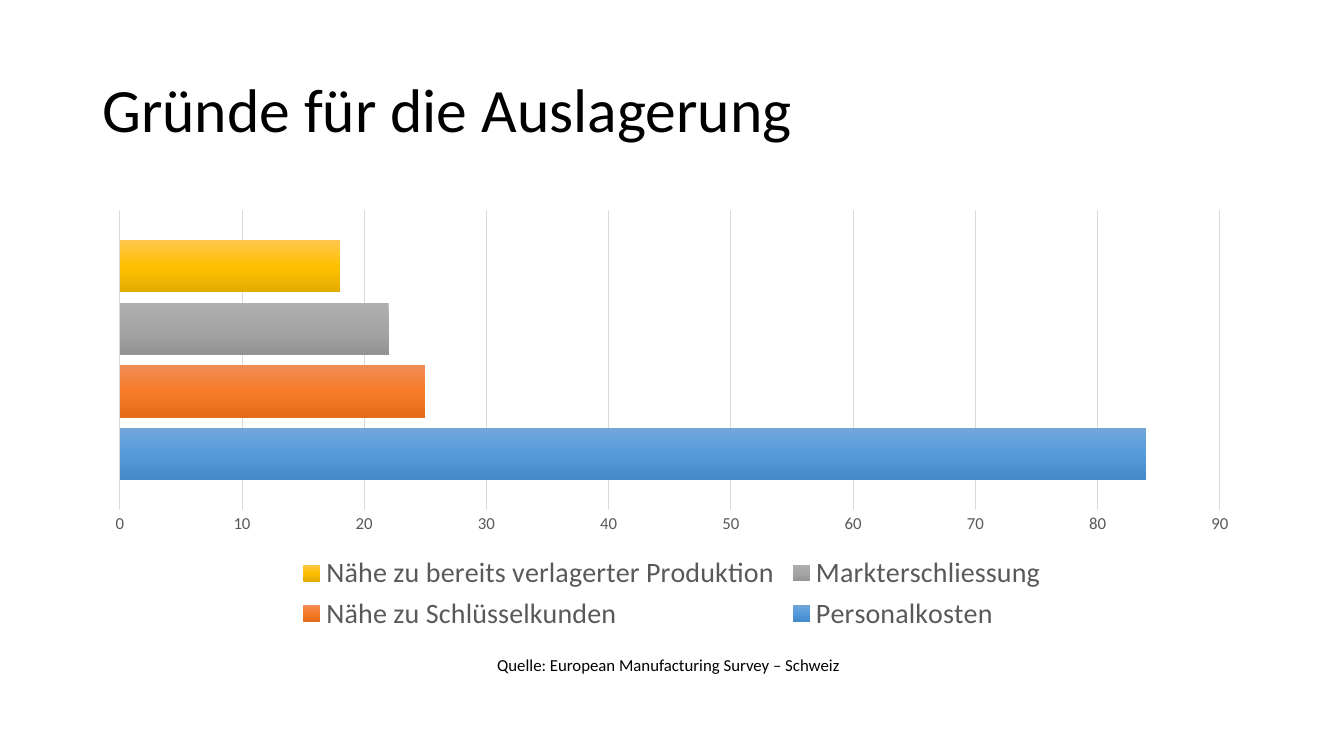
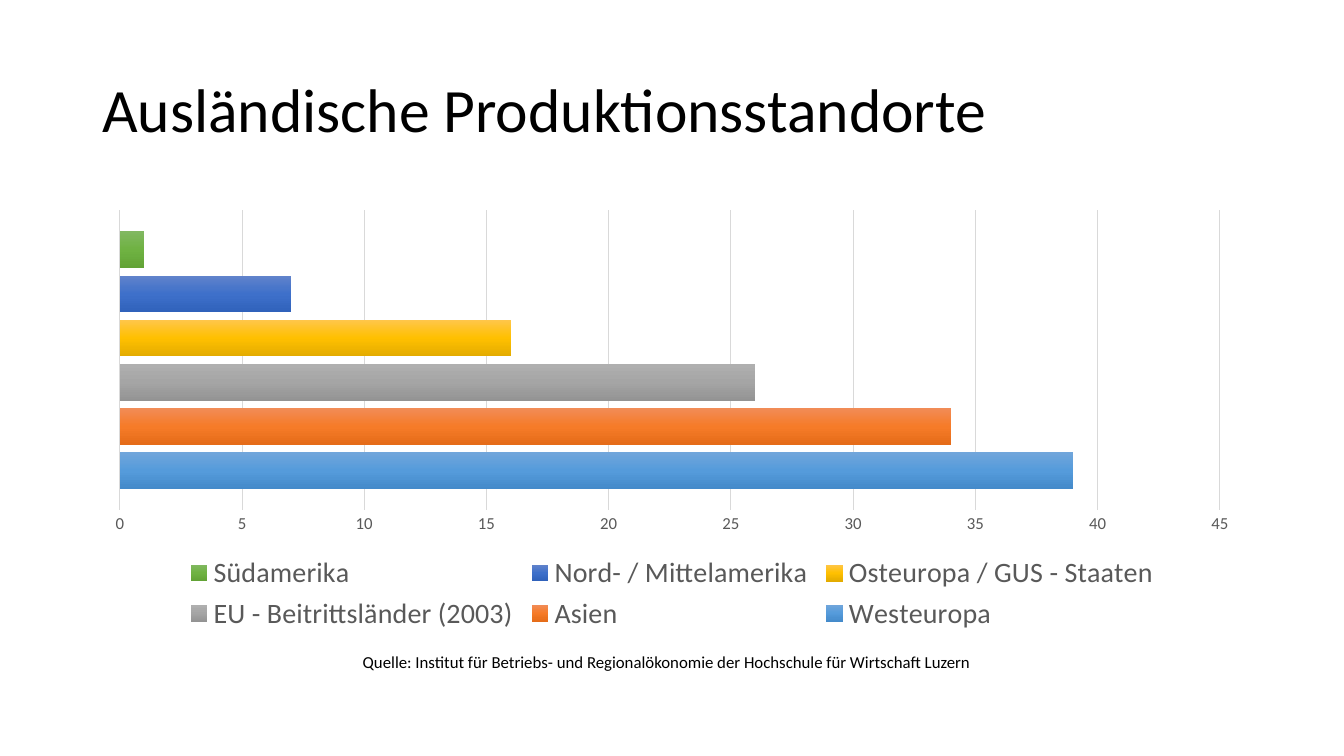
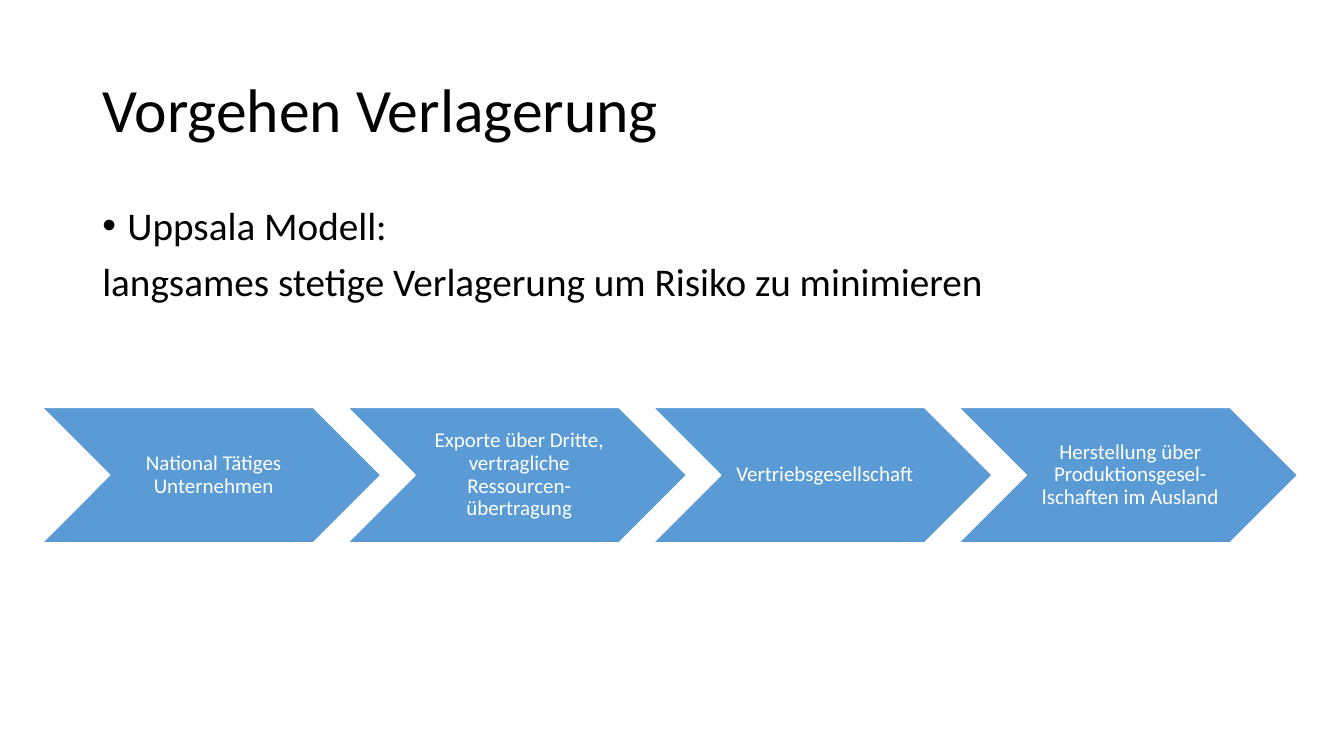
from collections import namedtuple
from copy import deepcopy
from dataclasses import dataclass

from lxml.etree import SubElement
from pptx import Presentation
from pptx.chart.data import CategoryChartData
from pptx.dml.color import RGBColor
from pptx.enum.chart import XL_CHART_TYPE, XL_LEGEND_POSITION, XL_TICK_MARK
from pptx.enum.shapes import MSO_SHAPE
from pptx.enum.text import MSO_ANCHOR, MSO_AUTO_SIZE, PP_ALIGN
from pptx.oxml.ns import qn
from pptx.util import Emu, Pt

Box = namedtuple("Box", "left top width height")


@dataclass(frozen=True)
class Theme:
    font: str = "Calibri"
    ink: str = "000000"
    muted: str = "595959"
    grid: str = "D9D9D9"
    paper: str = "FFFFFF"
    step: str = "5B9BD5"
    title_size: int = 44
    body_size: int = 28
    legend_size: int = 20
    step_size: int = 15
    small_size: int = 12
    line_spacing: float = 0.9
    bars: tuple = (
        ("71A6DB", "559BDB", "448ACA"),
        ("F18C57", "F67B28", "E56C19"),
        ("AFAFAF", "A5A5A5", "939393"),
        ("FFC64B", "FFC000", "E3AB00"),
        ("6183CB", "3E70CA", "3062BB"),
        ("81B861", "6FB242", "62A336"),
    )


THEME = Theme()
SLIDE = Box(0, 0, 1280, 720)
TITLE = Box(88, 38, 1104, 139)
CHART = Box(88, 192, 1104, 414)
BODY = Box(88, 192, 1104, 457)
STEPS = Box(40, 388, 1196, 129)


def px(length):
    return Emu(length * 9525)


def place(box):
    return [px(length) for length in box]


def style_font(font, size, color):
    font.name = THEME.font
    font.size = Pt(size)
    font.color.rgb = RGBColor.from_string(color)


def style_paragraphs(frame, size, color):
    for paragraph in frame.paragraphs:
        for run in paragraph.runs:
            style_font(run.font, size, color)


def add_text(slide, box, text, size):
    frame = slide.shapes.add_textbox(*place(box)).text_frame
    frame.word_wrap = True
    frame.text = text
    style_paragraphs(frame, size, THEME.ink)
    return frame


def add_titled_slide(deck, title):
    slide = deck.slides.add_slide(deck.slide_layouts[6])
    heading = add_text(slide, TITLE, title, THEME.title_size)
    heading.vertical_anchor = MSO_ANCHOR.MIDDLE
    heading.paragraphs[0].line_spacing = THEME.line_spacing
    return slide


def shade_bar(series, shades):
    fill = series.format.fill
    fill.gradient()
    fill.gradient_angle = 270
    stops = next(series._element.iter(qn("a:gsLst")))
    stops.insert(1, deepcopy(stops[0]))
    for stop, shade, position in zip(fill.gradient_stops, shades, (0, 0.5, 1)):
        stop.color.rgb = RGBColor.from_string(shade)
        stop.position = position


def add_bar_chart(slide, box, values):
    shares = CategoryChartData()
    shares.categories = ["1"]
    for name, value in values:
        shares.add_series(name, [value])
    chart = slide.shapes.add_chart(
        XL_CHART_TYPE.BAR_CLUSTERED, *place(box), shares).chart
    style_font(chart.font, 10, THEME.ink)
    chart.has_title = False
    chart.has_legend = True
    chart.legend.position = XL_LEGEND_POSITION.BOTTOM
    chart.legend.include_in_layout = False
    style_font(chart.legend.font, THEME.legend_size, THEME.muted)

    chart.category_axis.visible = False
    scale = chart.value_axis
    scale.major_tick_mark = scale.minor_tick_mark = XL_TICK_MARK.NONE
    scale.format.line.fill.background()
    style_font(scale.tick_labels.font, THEME.small_size, THEME.muted)
    gridline = scale.major_gridlines.format.line
    gridline.color.rgb = RGBColor.from_string(THEME.grid)
    gridline.width = Pt(0.75)

    plot = chart.plots[0]
    plot.gap_width = 115
    plot.overlap = -20
    plot.vary_by_categories = False
    for series, shades in zip(plot.series, THEME.bars):
        shade_bar(series, shades)


def build_chart_slide(deck, title, values, source, source_box):
    slide = add_titled_slide(deck, title)
    add_bar_chart(slide, CHART, values)
    caption = add_text(slide, source_box, source, THEME.small_size)
    caption.word_wrap = False
    caption.auto_size = MSO_AUTO_SIZE.SHAPE_TO_FIT_TEXT


def add_model_text(slide, box, text):
    frame = add_text(slide, box, text, THEME.body_size)
    for paragraph in frame.paragraphs:
        paragraph.line_spacing = THEME.line_spacing
        paragraph.space_before = Pt(10)
    properties = frame.paragraphs[0]._p.get_or_add_pPr()
    properties.set("marL", str(px(24)))
    properties.set("indent", str(px(-24)))
    SubElement(properties, qn("a:buFont")).set("typeface", "Arial")
    SubElement(properties, qn("a:buChar")).set("char", "•")


def add_step(slide, box, label):
    step = slide.shapes.add_shape(MSO_SHAPE.CHEVRON, *place(box))
    step.shadow.inherit = False
    step.fill.solid()
    step.fill.fore_color.rgb = RGBColor.from_string(THEME.step)
    step.line.color.rgb = RGBColor.from_string(THEME.paper)
    step.line.width = Pt(1)
    frame = step.text_frame
    frame.word_wrap = True
    frame.vertical_anchor = MSO_ANCHOR.MIDDLE
    frame.margin_left = px(6)
    frame.margin_top = frame.margin_right = frame.margin_bottom = px(2)
    frame.text = label
    frame.paragraphs[0].alignment = PP_ALIGN.CENTER
    frame.paragraphs[0].line_spacing = THEME.line_spacing
    style_paragraphs(frame, THEME.step_size, THEME.paper)


def add_steps(slide, box, labels):
    width = 323
    pitch = (box.width - width) // (len(labels) - 1)
    for index, label in enumerate(labels):
        add_step(slide, box._replace(left=box.left + index * pitch, width=width), label)


def build_process_slide(deck, title, text, labels):
    slide = add_titled_slide(deck, title)
    add_model_text(slide, BODY, text)
    add_steps(slide, STEPS, labels)


def main():
    deck = Presentation()
    deck.slide_width, deck.slide_height = px(SLIDE.width), px(SLIDE.height)
    build_chart_slide(
        deck, "Gründe für die Auslagerung",
        [("Personalkosten", 84), ("Nähe zu Schlüsselkunden", 25),
         ("Markterschliessung", 22),
         ("Nähe zu bereits verlagerter Produktion", 18)],
        "Quelle: European Manufacturing Survey – Schweiz",
        Box(464, 619, 352, 29))
    build_chart_slide(
        deck, "Ausländische Produktionsstandorte",
        [("Westeuropa", 39), ("Asien", 34), ("EU - Beitrittsländer (2003)", 26),
         ("Osteuropa / GUS - Staaten", 16), ("Nord- / Mittelamerika", 7),
         ("Südamerika", 1)],
        "Quelle: Institut für Betriebs- und Regionalökonomie "
        "der Hochschule für Wirtschaft Luzern",
        Box(336, 616, 608, 29))
    build_process_slide(
        deck, "Vorgehen Verlagerung",
        "Uppsala Modell:\nlangsames stetige Verlagerung um Risiko zu minimieren",
        ["National Tätiges Unternehmen",
         "Exporte über Dritte, vertragliche Ressourcen-übertragung",
         "Vertriebsgesellschaft",
         "Herstellung über Produktionsgesel-lschaften im Ausland"])
    deck.save("out.pptx")


if __name__ == "__main__":
    main()
